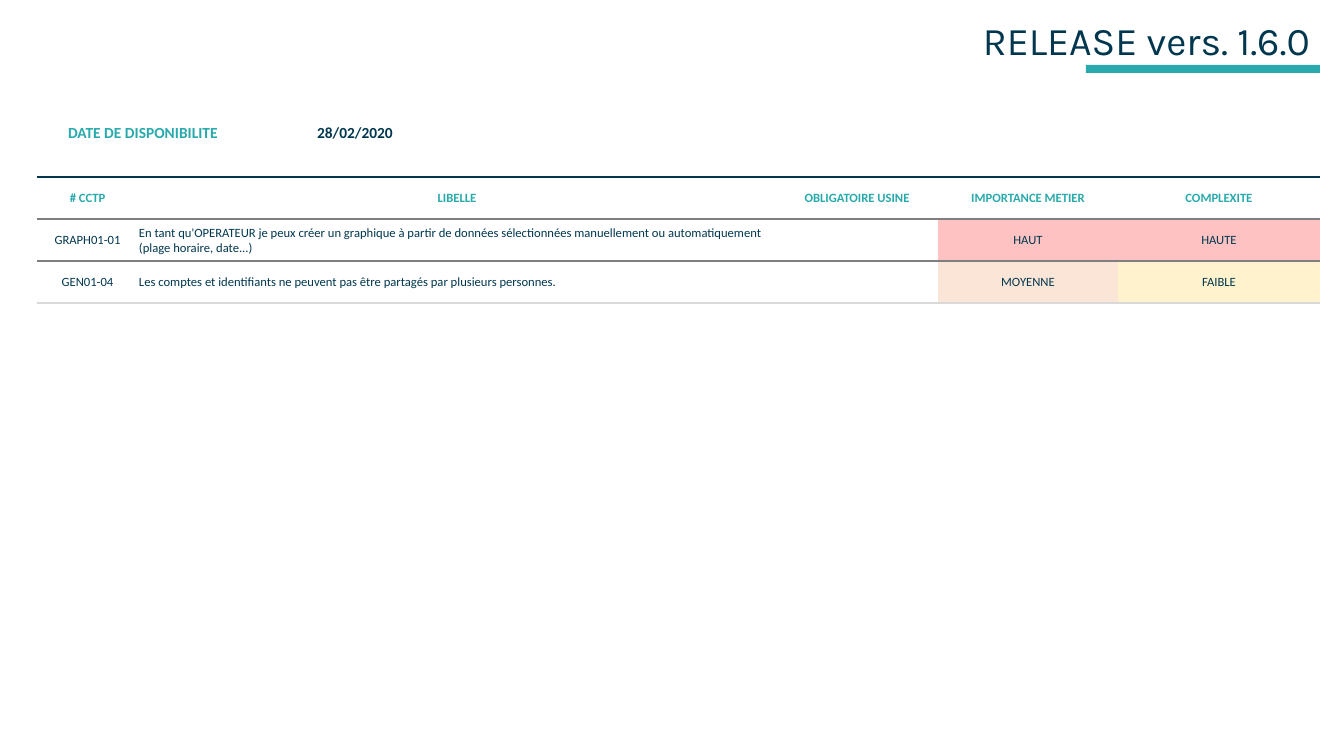
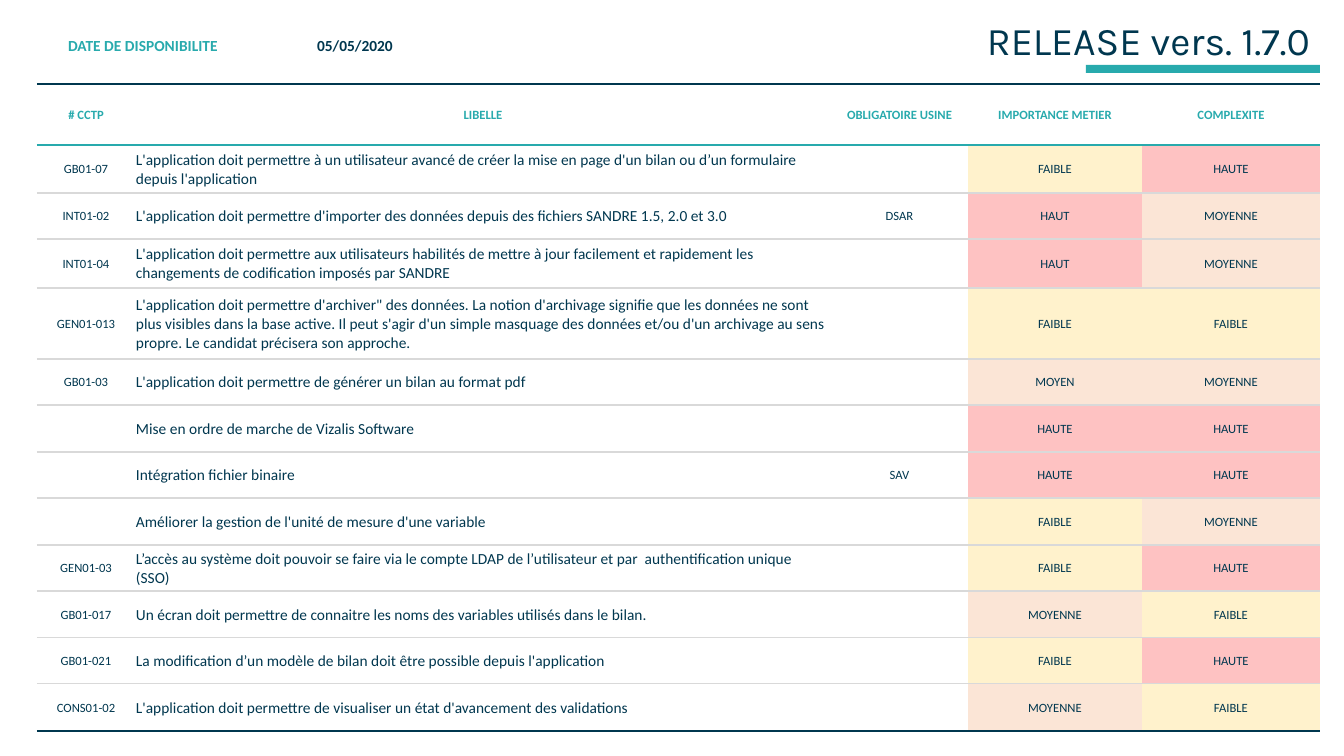
from lxml import etree
from pptx import Presentation
from pptx.dml.color import RGBColor
from pptx.enum.shapes import MSO_SHAPE
from pptx.enum.text import MSO_ANCHOR, MSO_AUTO_SIZE, PP_ALIGN
from pptx.oxml.ns import qn
from pptx.util import Emu, Pt

RECT = MSO_SHAPE.RECTANGLE
MIDDLE, BOTTOM = MSO_ANCHOR.MIDDLE, MSO_ANCHOR.BOTTOM
LEFT, CENTER, RIGHT = PP_ALIGN.LEFT, PP_ALIGN.CENTER, PP_ALIGN.RIGHT
NO_AUTOFIT = MSO_AUTO_SIZE.NONE

PX = 914400 / 100.8
NAVY, TEAL, WHITE, GREY, PALE = "00374F", "28AAAD", "FFFFFF", "7F7F7F", "D9D9D9"
RED, ORANGE, YELLOW = "FEC2C2", "FBE5D6", "FFF2CC"
LEVEL_FILLS = {"HAUT": RED, "HAUTE": RED, "MOYEN": ORANGE, "MOYENNE": ORANGE, "FAIBLE": YELLOW}
TITLE_FONT, BODY_FONT = "Karla", "Calibri"
NO_STYLE = "{2D5ABB26-0587-4C30-8999-92F81FD0307C}"
THICK, THIN = 2.25, 1
MARGIN = 37

HEADERS = ["# CCTP", "LIBELLE", "OBLIGATOIRE USINE", "IMPORTANCE METIER", "COMPLEXITE"]

# rules: the horizontal lines of the table from top to bottom, as (colour, points)
RELEASES = [
    {
        "title": "RELEASE vers. 1.6.0",
        "date": "28/02/2020",
        "date_top": 112,
        "top": 177,
        "widths": [101, 638, 162, 180, 202],
        "heights": [42] * 3,
        "label_size": 9,
        "rules": [(NAVY, THICK), (GREY, THIN), (GREY, THIN), (PALE, THIN)],
        "rows": [
            ["GRAPH01-01", "En tant qu'OPERATEUR je peux créer un graphique à partir de données "
             "sélectionnées manuellement ou automatiquement (plage horaire, date...)",
             "", "HAUT", "HAUTE"],
            ["GEN01-04", "Les comptes et identifiants ne peuvent pas être partagés par plusieurs "
             "personnes.", "", "MOYENNE", "FAIBLE"],
        ],
    },
    {
        "title": "RELEASE vers. 1.7.0",
        "date": "05/05/2020",
        "date_top": 25,
        "top": 84,
        "widths": [98, 696, 137, 174, 178],
        "heights": [61, 48, 46, 49, 71] + [46, 47] * 4,
        "label_size": 11,
        "rules": [(NAVY, THICK), (TEAL, THIN)] + [(PALE, THIN)] * 11 + [(NAVY, THICK)],
        "rows": [
            ["GB01-07", "L'application doit permettre à un utilisateur avancé de créer la mise en "
             "page d'un bilan ou d’un formulaire depuis l'application", "", "FAIBLE", "HAUTE"],
            ["INT01-02", "L'application doit permettre d'importer des données depuis des fichiers "
             "SANDRE 1.5, 2.0 et 3.0", "DSAR", "HAUT", "MOYENNE"],
            ["INT01-04", "L'application doit permettre aux utilisateurs habilités de mettre à jour "
             "facilement et rapidement les changements de codification imposés par SANDRE",
             "", "HAUT", "MOYENNE"],
            ["GEN01-013", "L'application doit permettre d'archiver\" des données. La notion "
             "d'archivage signifie que les données ne sont plus visibles dans la base active. Il "
             "peut s'agir d'un simple masquage des données et/ou d'un archivage au sens propre. "
             "Le candidat précisera son approche.", "", "FAIBLE", "FAIBLE"],
            ["GB01-03", "L'application doit permettre de générer un bilan au format pdf",
             "", "MOYEN", "MOYENNE"],
            ["", "Mise en ordre de marche de Vizalis Software", "", "HAUTE", "HAUTE"],
            ["", "Intégration fichier binaire", "SAV", "HAUTE", "HAUTE"],
            ["", "Améliorer la gestion de l'unité de mesure d'une variable",
             "", "FAIBLE", "MOYENNE"],
            ["GEN01-03", "L’accès au système doit pouvoir se faire via le compte LDAP de "
             "l’utilisateur et par  authentification unique (SSO)", "", "FAIBLE", "HAUTE"],
            ["GB01-017", "Un écran doit permettre de connaitre les noms des variables utilisés "
             "dans le bilan.", "", "MOYENNE", "FAIBLE"],
            ["GB01-021", "La modification d’un modèle de bilan doit être possible depuis "
             "l'application", "", "FAIBLE", "HAUTE"],
            ["CONS01-02", "L'application doit permettre de visualiser un état d'avancement des "
             "validations", "", "MOYENNE", "FAIBLE"],
        ],
    },
]


def add_grid(s, top, widths, heights):
    """Add an unstyled table at the left margin, with sizes in px."""
    box = [round(v * PX) for v in (MARGIN, top, sum(widths), sum(heights))]
    table = s.shapes.add_table(len(heights), len(widths), *box).table
    table.first_row = table.horz_banding = False
    table._tbl.tblPr.find(qn("a:tableStyleId")).text = NO_STYLE
    for column, width in zip(table.columns, widths):
        column.width = round(width * PX)
    for row, height in zip(table.rows, heights):
        row.height = round(height * PX)
    return table


def write_cell(cell, text, size, color, bold=False, align=CENTER, fill=None, rules=()):
    """Format a cell; rules holds its top and bottom lines as (colour, points)."""
    cell.margin_left = cell.margin_right = cell.margin_top = round(PX)
    cell.margin_bottom = 0
    cell.vertical_anchor = MIDDLE
    if fill:
        cell.fill.solid()
        cell.fill.fore_color.rgb = RGBColor.from_string(fill)
    else:
        cell.fill.background()
    tc_pr = cell._tc.get_or_add_tcPr()
    for i, (tag, (line_color, points)) in enumerate(zip(("a:lnT", "a:lnB"), rules)):
        ln = etree.Element(qn(tag), w=str(Pt(points)))
        solid = etree.SubElement(ln, qn("a:solidFill"))
        etree.SubElement(solid, qn("a:srgbClr"), val=line_color)
        tc_pr.insert(i, ln)
    p = cell.text_frame.paragraphs[0]
    p.alignment = align
    if text:
        r = p.add_run()
        r.text = text
        r.font.name = BODY_FONT
        r.font.size = Pt(size)
        r.font.bold = bold
        r.font.color.rgb = RGBColor.from_string(color)


prs = Presentation()
prs.slide_width, prs.slide_height = Emu(round(1344 * PX)), Emu(round(756 * PX))
title_only = prs.slide_layouts[5]

for release in RELEASES:
    s = prs.slides.add_slide(title_only)

    bar = s.shapes.add_shape(RECT, *[round(v * PX) for v in (1086, 65, 234, 8)])
    bar.shadow.inherit = False
    bar.fill.solid()
    bar.fill.fore_color.rgb = RGBColor.from_string(TEAL)
    bar.line.fill.background()

    title = s.shapes.title
    title.left, title.top, title.width, title.height = [
        round(v * PX) for v in (256, 0, 1064, 69)]
    tf = title.text_frame
    tf.auto_size = NO_AUTOFIT
    tf.vertical_anchor = BOTTOM
    p = tf.paragraphs[0]
    p.alignment = RIGHT
    p.line_spacing = 0.9
    r = p.add_run()
    r.text = release["title"]
    r.font.name = TITLE_FONT
    r.font.size = Pt(28)
    r.font.color.rgb = RGBColor.from_string(NAVY)

    rules = release["rules"]
    grid = add_grid(s, release["top"], release["widths"], release["heights"])
    for j, header in enumerate(HEADERS):
        write_cell(grid.cell(0, j), header, 9, TEAL, True, fill=WHITE, rules=rules[:2])
    for i, row in enumerate(release["rows"], 1):
        for j, text in enumerate(row):
            is_label = j == 1
            write_cell(grid.cell(i, j), text, release["label_size"] if is_label else 9, NAVY,
                       align=LEFT if is_label else CENTER,
                       fill=LEVEL_FILLS.get(text, WHITE), rules=rules[i:i + 2])

    date_grid = add_grid(s, release["date_top"], [212, 212], [41])
    write_cell(date_grid.cell(0, 0), "DATE DE DISPONIBILITE", 11, TEAL, True)
    write_cell(date_grid.cell(0, 1), release["date"], 11, NAVY, True)

prs.save("out.pptx")
